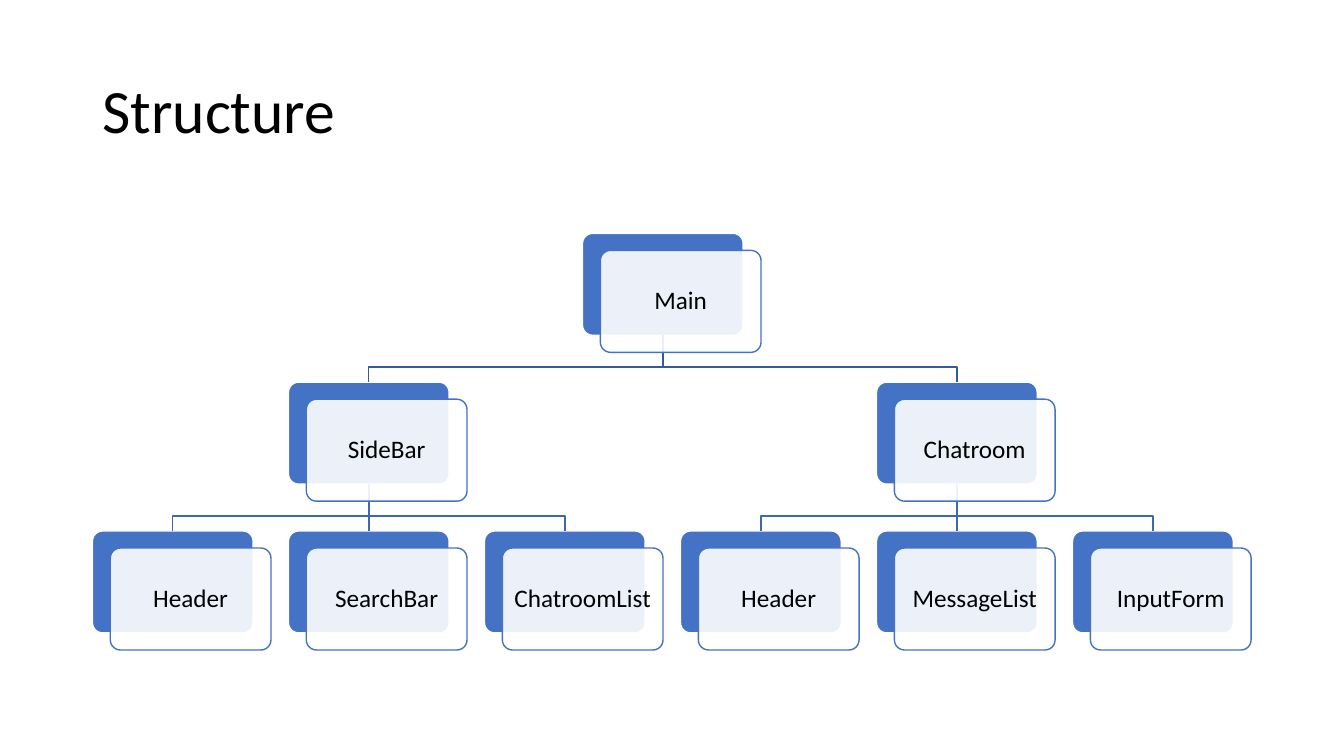
from lxml.etree import SubElement
from pptx import Presentation
from pptx.dml.color import RGBColor
from pptx.enum.shapes import MSO_CONNECTOR, MSO_SHAPE
from pptx.enum.text import MSO_ANCHOR, PP_ALIGN
from pptx.oxml.ns import qn
from pptx.util import Cm, Pt

BLUE = RGBColor(0x44, 0x72, 0xC4)
UPPER_BRANCH = RGBColor(0x36, 0x5B, 0x9D)
LOWER_BRANCH = RGBColor(0x3E, 0x67, 0xB2)
WHITE = RGBColor(0xFF, 0xFF, 0xFF)
BLACK = RGBColor(0x00, 0x00, 0x00)

FONT = "Calibri"
TREE_LEFT, TREE_TOP = Cm(2.33), Cm(5.88)
COLUMN_PITCH, ROW_PITCH = Cm(4.94), Cm(3.75)
CARD_WIDTH, CARD_HEIGHT = Cm(4.05), Cm(2.57)
FRONT_SHIFT_X, FRONT_SHIFT_Y = Cm(0.45), Cm(0.43)
BEND_DROP = Cm(0.8)

COMPONENTS = {
    "main": ("Main", 2.5, 0, None),
    "sidebar": ("SideBar", 1, 1, "main"),
    "sidebar header": ("Header", 0, 2, "sidebar"),
    "search": ("SearchBar", 1, 2, "sidebar"),
    "rooms": ("ChatroomList", 2, 2, "sidebar"),
    "chatroom": ("Chatroom", 4, 1, "main"),
    "chatroom header": ("Header", 3, 2, "chatroom"),
    "messages": ("MessageList", 4, 2, "chatroom"),
    "input": ("InputForm", 5, 2, "chatroom"),
}


def write_text(shape, text, size):
    frame = shape.text_frame
    frame.word_wrap = True
    frame.vertical_anchor = MSO_ANCHOR.MIDDLE
    frame.text = text
    para = frame.paragraphs[0]
    para.line_spacing = 0.9
    para.font.name = FONT
    para.font.size = Pt(size)
    para.font.color.rgb = BLACK
    return para


def add_title(page, text):
    box = page.shapes.add_textbox(Cm(2.33), Cm(1.01), Cm(29.21), Cm(3.68))
    write_text(box, text, 44)


def add_card(page, left, top, fill, outline):
    card = page.shapes.add_shape(
        MSO_SHAPE.ROUNDED_RECTANGLE, left, top, CARD_WIDTH, CARD_HEIGHT
    )
    card.adjustments[0] = 0.1
    card.shadow.inherit = False
    card.fill.solid()
    card.fill.fore_color.rgb = fill
    card.line.color.rgb = outline
    card.line.width = Pt(1)
    return card


def add_back_card(page, column, row):
    left = TREE_LEFT + round(column * COLUMN_PITCH)
    return add_card(page, left, TREE_TOP + row * ROW_PITCH, BLUE, WHITE)


def add_front_card(page, back, text):
    card = add_card(
        page, back.left + FRONT_SHIFT_X, back.top + FRONT_SHIFT_Y, WHITE, BLUE
    )
    color = card.fill._xPr.find(qn("a:solidFill"))[0]
    SubElement(color, qn("a:alpha")).set("val", "90000")
    frame = card.text_frame
    frame.margin_left = frame.margin_right = Cm(0.18)
    frame.margin_top = frame.margin_bottom = Cm(0.18)
    write_text(card, text, 18).alignment = PP_ALIGN.CENTER


def add_straight_branch(page, parent, child):
    branch = page.shapes.add_connector(MSO_CONNECTOR.STRAIGHT, 0, 0, 0, 0)
    branch.begin_connect(parent, 2)
    branch.end_connect(child, 0)
    SubElement(branch._element.spPr, qn("a:effectLst"))
    return branch


def add_bent_branch(page, parent, child):
    start_x = parent.left + CARD_WIDTH // 2
    start_y = parent.top + CARD_HEIGHT
    end_x = child.left + CARD_WIDTH // 2
    bend_y = start_y + BEND_DROP
    builder = page.shapes.build_freeform(start_x, start_y)
    builder.add_line_segments(
        [(start_x, bend_y), (end_x, bend_y), (end_x, child.top)], close=False
    )
    branch = builder.convert_to_shape()
    branch.fill.background()
    branch.shadow.inherit = False
    return branch


def add_branch(page, parent, child, color):
    aligned = parent.left == child.left
    add = add_straight_branch if aligned else add_bent_branch
    branch = add(page, parent, child)
    branch.line.color.rgb = color
    branch.line.width = Pt(1)


def add_tree(page):
    cards = {
        key: add_back_card(page, column, row)
        for key, (_, column, row, _) in COMPONENTS.items()
    }
    for key, (_, _, row, parent) in COMPONENTS.items():
        if parent:
            color = UPPER_BRANCH if row == 1 else LOWER_BRANCH
            add_branch(page, cards[parent], cards[key], color)
    for key, (text, _, _, _) in COMPONENTS.items():
        add_front_card(page, cards[key], text)


def main():
    deck = Presentation()
    deck.slide_width, deck.slide_height = Cm(33.87), Cm(19.05)
    page = deck.slides.add_slide(deck.slide_layouts[6])
    add_title(page, "Structure")
    add_tree(page)
    deck.save("out.pptx")


if __name__ == "__main__":
    main()
